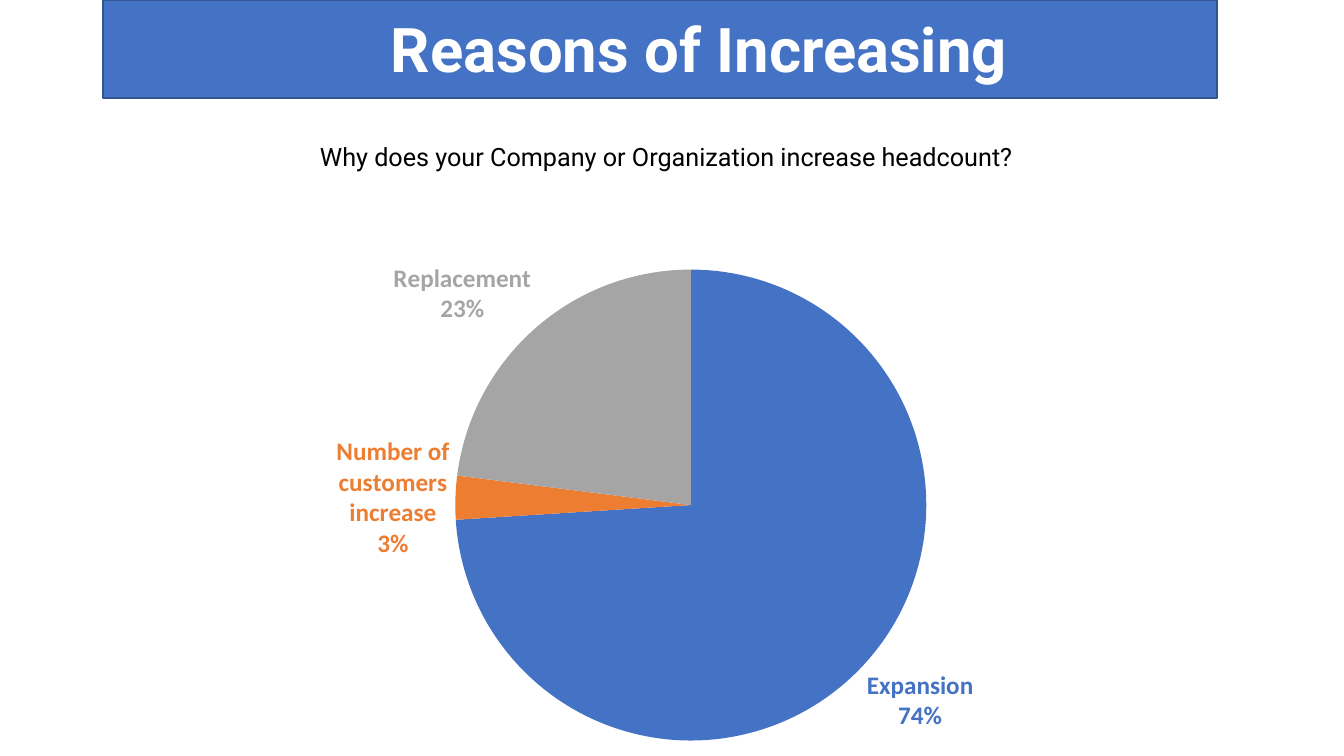
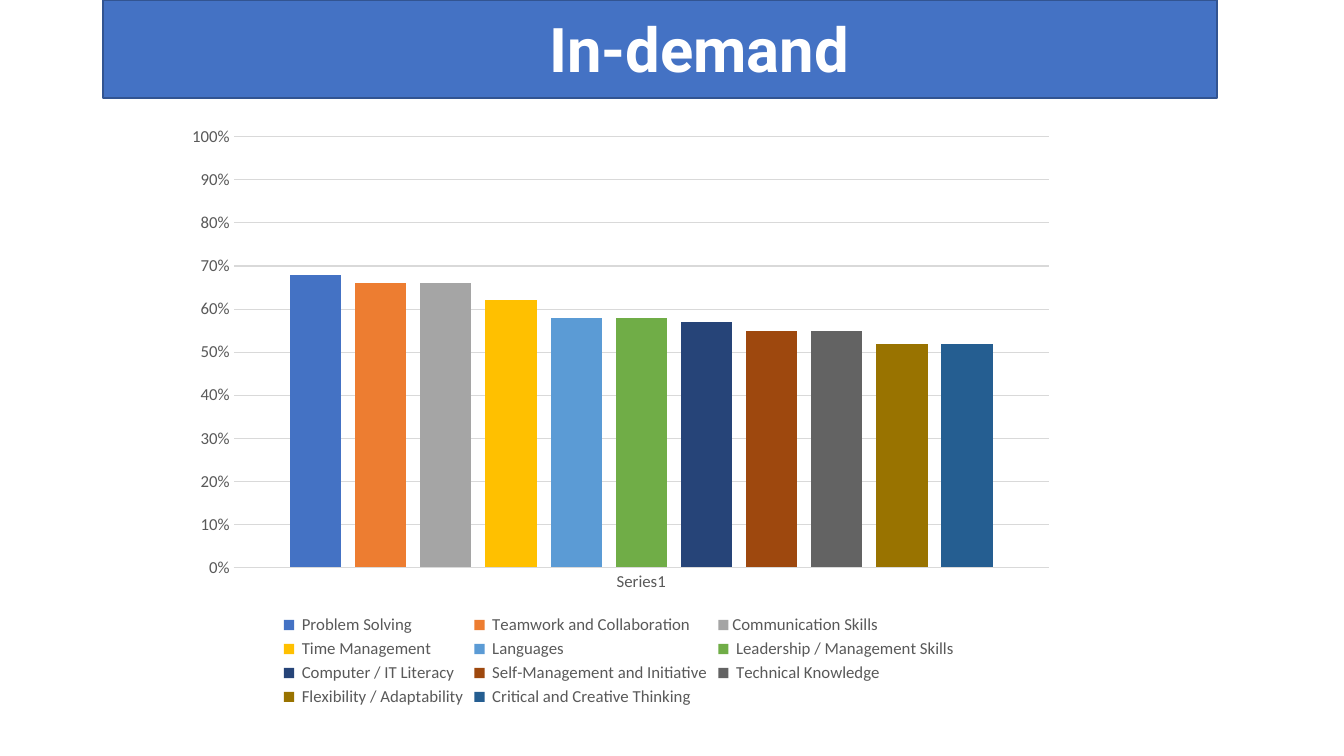
from lxml.etree import SubElement
from pptx import Presentation
from pptx.chart.data import CategoryChartData
from pptx.dml.color import RGBColor
from pptx.enum.chart import XL_CHART_TYPE as ChartType, XL_LABEL_POSITION as LabelPosition
from pptx.enum.chart import XL_LEGEND_POSITION as LegendPosition, XL_TICK_MARK as TickMark
from pptx.enum.shapes import MSO_SHAPE as Shape
from pptx.enum.text import MSO_AUTO_SIZE as AutoSize, PP_ALIGN as Align
from pptx.oxml.ns import qn
from pptx.util import Pt

PX = 12192000 / 1344
rgb = RGBColor.from_string

BLUE, ORANGE, GREY, WHITE, BLACK = "4472C4", "ED7D31", "A5A5A5", "FFFFFF", "000000"
BAND_LINE, AXIS_TEXT, GRID = "325491", "595959", "D9D9D9"
TITLE_FONT, CHART_FONT = "Roboto", "Calibri"


def style(font, name, size, color, bold=False):
    font.name, font.size, font.bold = name, Pt(size), bold
    font.color.rgb = rgb(color)


def set_plot_area(chart, **fractions):
    """Fix the inner plot area as fractions of the chart frame."""
    plot_area = chart._chartSpace.chart.plotArea
    for old in plot_area.findall(qn("c:layout")):
        plot_area.remove(old)
    layout = SubElement(plot_area, qn("c:layout"))
    plot_area.insert(0, layout)
    manual = SubElement(layout, qn("c:manualLayout"))
    settings = {"layoutTarget": "inner", "xMode": "edge", "yMode": "edge", **fractions}
    for tag, value in settings.items():
        SubElement(manual, qn("c:" + tag)).set("val", str(value))


deck = Presentation()
deck.slide_width, deck.slide_height = int(1344 * PX), int(756 * PX)

# Title band on every page
pages = []
for title in ("Reasons of Increasing", "In-demand"):
    page = deck.slides.add_slide(deck.slide_layouts[6])
    pages.append(page)
    band = page.shapes.add_shape(Shape.RECTANGLE, int(103 * PX), 0, int(1114 * PX), int(98 * PX))
    band.shadow.inherit = False
    band.fill.solid()
    band.fill.fore_color.rgb = rgb(BLUE)
    band.line.color.rgb = rgb(BAND_LINE)
    band.line.width = Pt(1)

    box = page.shapes.add_textbox(int(236 * PX), int(6 * PX), int(927 * PX), int(85 * PX))
    box.text_frame.text = title
    box.text_frame.word_wrap = True
    box.text_frame.auto_size = AutoSize.SHAPE_TO_FIT_TEXT
    para = box.text_frame.paragraphs[0]
    para.alignment = Align.CENTER
    style(para.runs[0].font, TITLE_FONT, 44, WHITE, True)

reasons_page, skills_page = pages

# Reasons: pie chart
reasons = [("Expansion", 74, BLUE), ("Number of customers increase", 3, ORANGE),
           ("Replacement", 23, GREY)]
data = CategoryChartData()
data.categories = [name for name, _, _ in reasons]
data.add_series("Series 1", [value for _, value, _ in reasons])
pie = reasons_page.shapes.add_chart(ChartType.PIE, int(201 * PX), int(217 * PX),
                                    int(942 * PX), int(565 * PX), data).chart
style(pie.font, CHART_FONT, 10, BLACK)
pie.has_title = pie.has_legend = False
set_plot_area(pie, x=0.27, y=0.09, w=0.5, h=0.84)
pie.plots[0].vary_by_categories = True
series = pie.plots[0].series[0]

labels = series.data_labels
labels.show_value = False
labels.show_category_name = labels.show_percentage = True
labels.position = LabelPosition.OUTSIDE_END
style(labels.font, CHART_FONT, 18, BLUE, True)
for index, (_, _, color) in enumerate(reasons):
    point = series.points[index]
    point.format.fill.solid()
    point.format.fill.fore_color.rgb = rgb(color)
    style(point.data_label.font, CHART_FONT, 18, color, True)
    point.data_label.position = LabelPosition.OUTSIDE_END

# Each label shows the category above its percentage
for label in pie._chartSpace.iter(qn("c:dLbl")):
    for tag, shown in (("showVal", "0"), ("showCatName", "1"), ("showPercent", "1")):
        label.find(qn("c:" + tag)).set("val", shown)
    SubElement(label, qn("c:separator")).text = "\n"

# Reasons: question
box = reasons_page.shapes.add_textbox(int(310 * PX), int(136 * PX), int(779 * PX), int(40 * PX))
box.text_frame.text = "Why does your Company or Organization increase headcount?"
box.text_frame.word_wrap = True
box.text_frame.auto_size = AutoSize.SHAPE_TO_FIT_TEXT
style(box.text_frame.paragraphs[0].runs[0].font, TITLE_FONT, 18, BLACK)

# Skills: column chart, one series per skill
skills = [
    (" Problem Solving", 0.68, BLUE),
    (" Teamwork and Collaboration", 0.66, ORANGE),
    ("Communication Skills", 0.66, GREY),
    (" Time Management", 0.62, "FFC000"),
    (" Languages", 0.58, "5B9BD5"),
    (" Leadership / Management Skills", 0.58, "70AD47"),
    (" Computer / IT Literacy", 0.57, "264478"),
    (" Self-Management and Initiative", 0.55, "9E480E"),
    (" Technical Knowledge", 0.55, "636363"),
    (" Flexibility / Adaptability", 0.52, "997300"),
    (" Critical and Creative Thinking", 0.52, "255E91"),
]
data = CategoryChartData()
data.categories = ["Series1"]
for name, value, _ in skills:
    data.add_series(name, [value])
columns = skills_page.shapes.add_chart(ChartType.COLUMN_CLUSTERED, int(171 * PX), int(113 * PX),
                                       int(896 * PX), int(598 * PX), data).chart
style(columns.font, CHART_FONT, 10, BLACK)
columns.has_title = False
set_plot_area(columns, x=0.07, y=0.04, w=0.91, h=0.72)
plot = columns.plots[0]
plot.vary_by_categories = False
plot.gap_width, plot.overlap = 219, -27
for series, (_, _, color) in zip(plot.series, skills):
    series.format.fill.solid()
    series.format.fill.fore_color.rgb = rgb(color)

# Skills: axes, grid and legend
category_axis, value_axis = columns.category_axis, columns.value_axis
for axis in (category_axis, value_axis):
    axis.major_tick_mark = axis.minor_tick_mark = TickMark.NONE
    style(axis.tick_labels.font, CHART_FONT, 12, AXIS_TEXT)
value_axis.minimum_scale, value_axis.maximum_scale, value_axis.major_unit = 0, 1, 0.1
value_axis.tick_labels.number_format = "0%"
value_axis.tick_labels.number_format_is_linked = False
value_axis.format.line.fill.background()
for line in (category_axis.format.line, value_axis.major_gridlines.format.line):
    line.color.rgb = rgb(GRID)
    line.width = Pt(0.75)
columns.has_legend = True
columns.legend.position = LegendPosition.BOTTOM
columns.legend.include_in_layout = False
style(columns.legend.font, CHART_FONT, 12, AXIS_TEXT)

deck.save("out.pptx")
